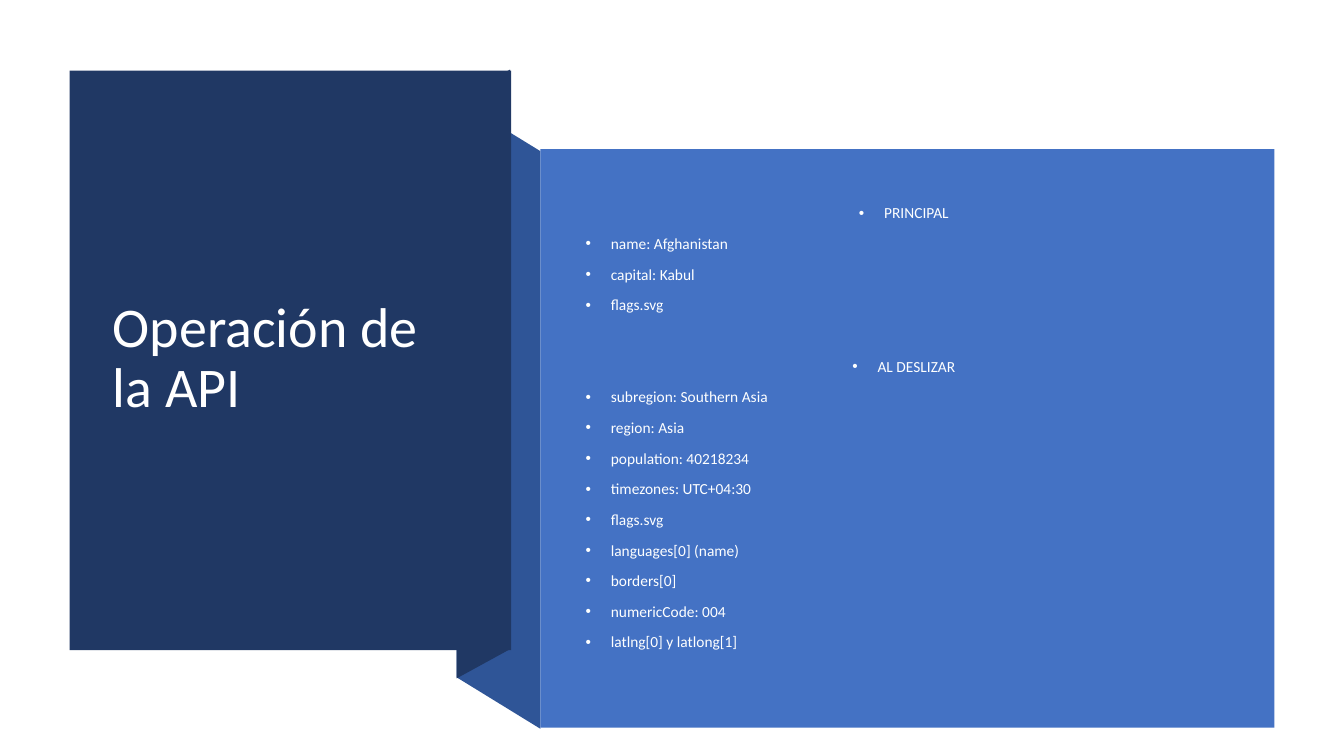
from dataclasses import dataclass

from lxml.etree import SubElement
from pptx import Presentation
from pptx.dml.color import RGBColor
from pptx.enum.shapes import MSO_SHAPE
from pptx.enum.text import MSO_ANCHOR, PP_ALIGN
from pptx.oxml.ns import qn
from pptx.util import Inches, Pt


@dataclass(frozen=True)
class Theme:
    navy: RGBColor = RGBColor(0x20, 0x38, 0x64)
    fold: RGBColor = RGBColor(0x2F, 0x55, 0x97)
    panel: RGBColor = RGBColor(0x44, 0x72, 0xC4)
    title_text: RGBColor = RGBColor(0xFF, 0xFF, 0xFF)
    body_text: RGBColor = RGBColor(0xFE, 0xFF, 0xFF)
    font: str = "Calibri"
    title_size: Pt = Pt(40)
    body_size: Pt = Pt(11)
    line_spacing: float = 0.9
    item_gap: Pt = Pt(10)
    section_gap: Pt = Pt(32)


THEME = Theme()

SECTIONS = {
    "PRINCIPAL": ["name: Afghanistan", "capital: Kabul", "flags.svg"],
    "AL DESLIZAR": [
        "subregion: Southern Asia",
        "region: Asia",
        "population: 40218234",
        "timezones: UTC+04:30",
        "flags.svg",
        "languages[0] (name)",
        "borders[0]",
        "numericCode: 004",
        "latlng[0] y latlong[1]",
    ],
}


def paint(surface, color):
    surface.shadow.inherit = False
    surface.fill.solid()
    surface.fill.fore_color.rgb = color
    surface.line.fill.background()


def add_polygon(slide, corners, color):
    start, *others = [(Inches(x), Inches(y)) for x, y in corners]
    outline = slide.shapes.build_freeform(*start)
    outline.add_line_segments(others, close=True)
    paint(outline.convert_to_shape(), color)


def add_panel(slide, left, top, width, height, color):
    box = map(Inches, (left, top, width, height))
    paint(slide.shapes.add_shape(MSO_SHAPE.RECTANGLE, *box), color)


def add_text_area(slide, left, top, width, height):
    box = map(Inches, (left, top, width, height))
    frame = slide.shapes.add_textbox(*box).text_frame
    frame.word_wrap = True
    frame.vertical_anchor = MSO_ANCHOR.MIDDLE
    return frame


def write(paragraph, text, size, color, **layout):
    run = paragraph.add_run()
    run.text = text
    run.font.color.rgb = color
    for name, value in {"name": THEME.font, "size": size}.items():
        setattr(run.font, name, value)
    for name, value in {"line_spacing": THEME.line_spacing, **layout}.items():
        setattr(paragraph, name, value)


def add_bullet(paragraph):
    properties = paragraph._p.get_or_add_pPr()
    properties.set("marL", str(Inches(0.25)))
    properties.set("indent", str(-Inches(0.25)))
    SubElement(properties, qn("a:buFont"), typeface="Arial")
    SubElement(properties, qn("a:buChar"), char="•")


def write_sections(frame, sections):
    """Write each heading centred, with its fields listed below it."""
    paragraph = frame.paragraphs[0]
    heading_gap = THEME.item_gap
    for heading, fields in sections.items():
        lines = [(heading, PP_ALIGN.CENTER, heading_gap)]
        lines += [(field, PP_ALIGN.LEFT, THEME.item_gap) for field in fields]
        for text, alignment, gap in lines:
            paragraph = paragraph or frame.add_paragraph()
            write(paragraph, text, THEME.body_size, THEME.body_text,
                  alignment=alignment, space_before=gap)
            add_bullet(paragraph)
            paragraph = None
        heading_gap = THEME.section_gap


def main():
    deck = Presentation()
    deck.slide_width, deck.slide_height = Inches(13.33), Inches(7.5)
    slide = deck.slides.add_slide(deck.slide_layouts[6])

    add_polygon(slide, [(5.36, 7.23), (4.53, 6.72), (4.53, 0.99), (5.36, 1.5)], THEME.fold)
    add_polygon(slide, [(5.06, 6.44), (4.53, 6.73), (4.53, 0.98), (5.06, 0.69)], THEME.navy)
    add_panel(slide, 0.69, 0.7, 4.38, 5.75, THEME.navy)
    title = add_text_area(slide, 1.02, 1.07, 3.71, 4.99)
    write(title.paragraphs[0], "Operación de la API", THEME.title_size, THEME.title_text)

    add_panel(slide, 5.36, 1.48, 7.28, 5.74, THEME.panel)
    write_sections(add_text_area(slide, 5.71, 1.88, 6.51, 4.74), SECTIONS)

    deck.save("out.pptx")


if __name__ == "__main__":
    main()
